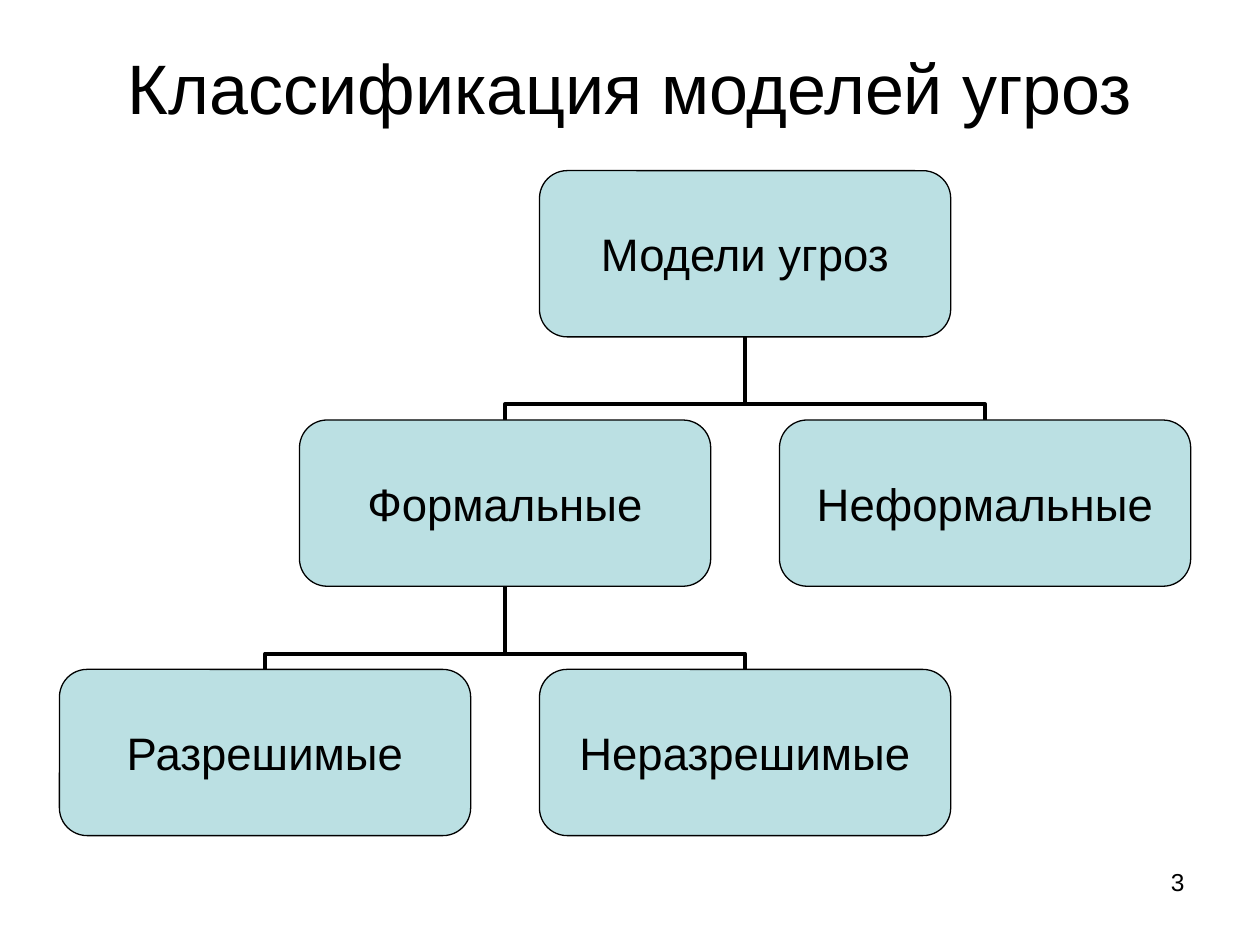
from pptx import Presentation
from pptx.dml.color import RGBColor
from pptx.enum.shapes import MSO_CONNECTOR as Connector, MSO_SHAPE as Shape
from pptx.enum.text import MSO_ANCHOR as Anchor, MSO_AUTO_SIZE as AutoSize, PP_ALIGN as Align
from pptx.oxml import parse_xml
from pptx.oxml.ns import nsdecls, qn
from pptx.util import Pt

BOX_WIDTH, BOX_HEIGHT = 235, 95
TREE_LEFT, TREE_TOP = 34, 97.5
COLUMN_STEP, ROW_STEP = 137.15, 142.5
BEND = 18900

NODES = {
    "Модели угроз": (2, 0),
    "Формальные": (1, 1),
    "Неформальные": (3, 1),
    "Разрешимые": (0, 2),
    "Неразрешимые": (2, 2),
}
BRANCHES = [
    ("Модели угроз", "Формальные"),
    ("Модели угроз", "Неформальные"),
    ("Формальные", "Разрешимые"),
    ("Формальные", "Неразрешимые"),
]


def color(value):
    return RGBColor.from_string(value)


def set_attributes(target, values):
    for name, value in values.items():
        setattr(target, name, value)


def place(shape, left, top, width, height):
    set_attributes(shape, {"left": Pt(left), "top": Pt(top),
                           "width": Pt(width), "height": Pt(height)})


def write_text(shape, text, size, alignment, frame_format):
    frame = shape.text_frame
    frame.text = text
    set_attributes(frame, {"auto_size": AutoSize.NONE, **frame_format})
    paragraph = frame.paragraphs[0]
    paragraph.alignment = alignment
    font = paragraph.runs[0].font
    set_attributes(font, {"name": "Arial", "size": Pt(size)})
    font.color.rgb = color("000000")


def set_line(shape, width):
    shape.line.color.rgb = color("000000")
    shape.line.width = Pt(width)


def add_node(group, text, column, row):
    shape = group.shapes.add_shape(Shape.ROUNDED_RECTANGLE, 0, 0, 0, 0)
    place(shape, TREE_LEFT + column * COLUMN_STEP, TREE_TOP + row * ROW_STEP,
          BOX_WIDTH, BOX_HEIGHT)
    shape.shadow.inherit = False
    shape.fill.solid()
    shape.fill.fore_color.rgb = color("BBE0E3")
    set_line(shape, 0.75)
    write_text(shape, text, 26, Align.CENTER, {
        "word_wrap": False, "vertical_anchor": Anchor.MIDDLE,
        "margin_left": 0, "margin_top": 0, "margin_right": 0, "margin_bottom": 0,
    })
    return shape


def add_branch(group, parent, child):
    parent_x, parent_y = parent.left + parent.width // 2, parent.top + parent.height
    child_x, child_y = child.left + child.width // 2, child.top
    connector = group.shapes.add_connector(
        Connector.ELBOW, child_x, child_y, parent_x, parent_y)
    connector.begin_connect(child, 0)
    connector.end_connect(parent, 2)
    width, height = child_y - parent_y, abs(child_x - parent_x)
    set_attributes(connector, {
        "left": (child_x + parent_x - width) // 2,
        "top": (child_y + parent_y - height) // 2,
        "width": width,
        "height": height,
    })
    child_on_left = child_x < parent_x
    properties = connector._element.spPr
    transform = properties.find(qn("a:xfrm"))
    transform.set("rot", "5400000" if child_on_left else "16200000")
    transform.set("flipH", "1" if child_on_left else "0")
    transform.set("flipV", "1")
    adjustments = properties.find(qn("a:prstGeom")).find(qn("a:avLst"))
    adjustments.append(parse_xml(
        f'<a:gd {nsdecls("a")} name="adj1" fmla="val {BEND}"/>'))
    set_line(connector, 2.25)
    properties.append(parse_xml(f'<a:effectLst {nsdecls("a")}/>'))
    group._element.insert(2, connector._element)


def add_tree(slide):
    group = slide.shapes.add_group_shape()
    nodes = {text: add_node(group, text, *cell) for text, cell in NODES.items()}
    for parent, child in BRANCHES:
        add_branch(group, nodes[parent], nodes[child])


def add_title(slide, text):
    title = slide.shapes.title
    place(title, 36, 21.6, 648, 55.4)
    write_text(title, text, 40, Align.CENTER,
               {"word_wrap": True, "vertical_anchor": Anchor.MIDDLE})


def add_page_number(slide, text):
    box = slide.shapes.add_textbox(Pt(516), Pt(492), Pt(168), Pt(37.5))
    write_text(box, text, 14, Align.RIGHT,
               {"word_wrap": True, "vertical_anchor": Anchor.TOP})


def main():
    presentation = Presentation()
    set_attributes(presentation, {"slide_width": Pt(720), "slide_height": Pt(540)})
    slide = presentation.slides.add_slide(presentation.slide_layouts[5])
    add_title(slide, "Классификация моделей угроз")
    add_tree(slide)
    add_page_number(slide, "3")
    presentation.save("out.pptx")


if __name__ == "__main__":
    main()
